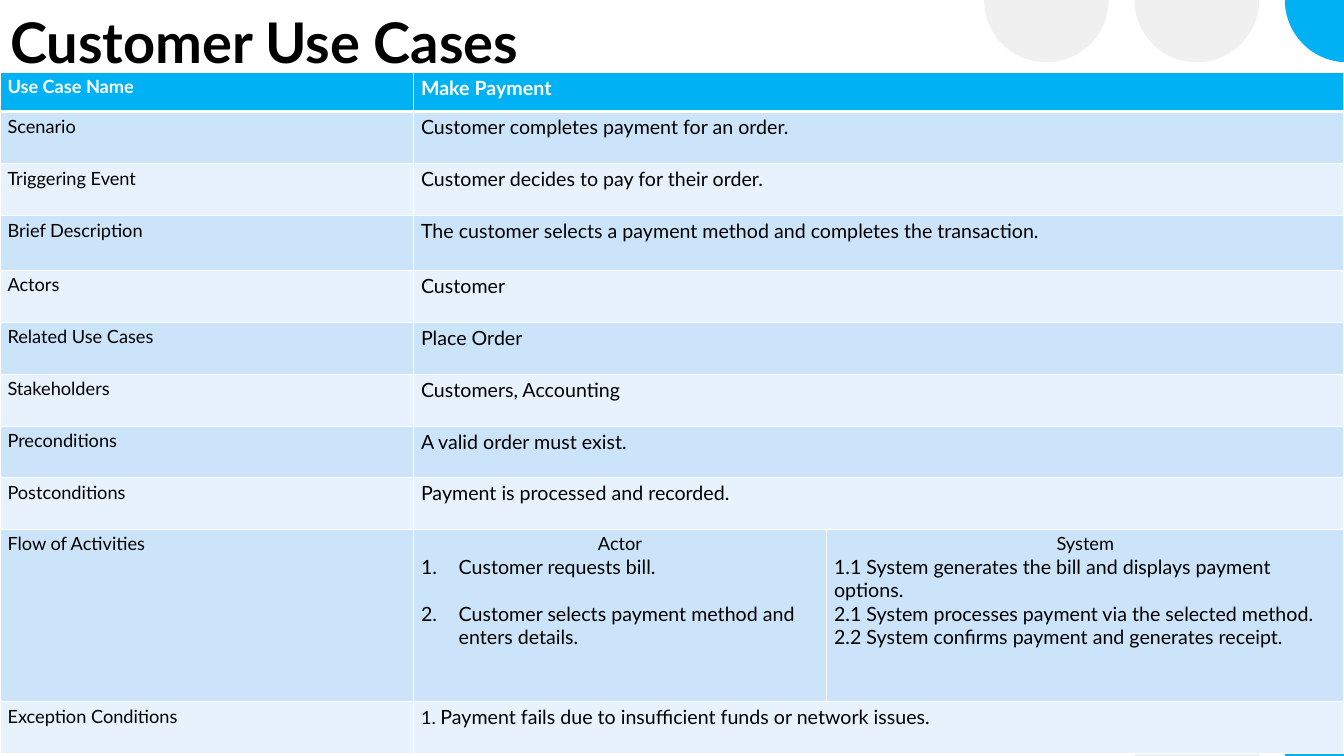
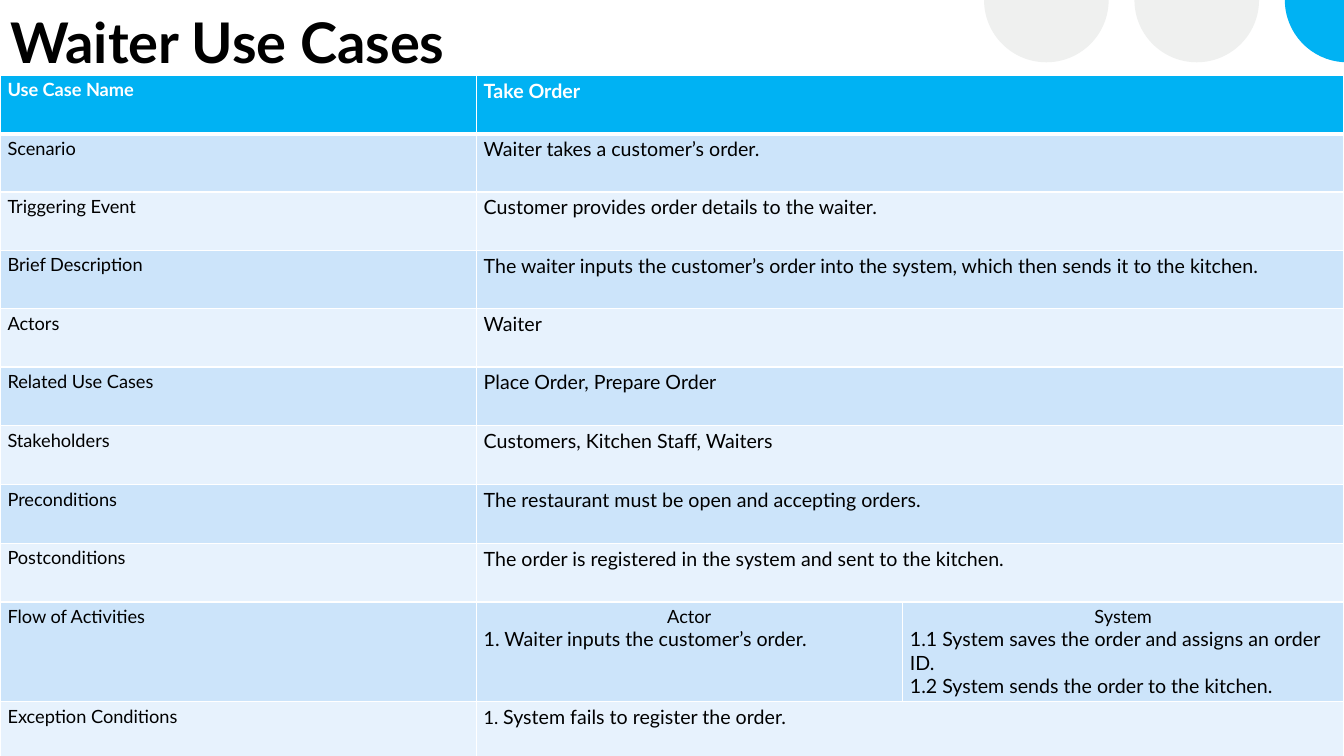
import math

import lxml.etree
import pptx
import pptx.dml.color
import pptx.enum.shapes
import pptx.enum.text
import pptx.oxml.ns
import pptx.util

Cm = pptx.util.Cm
Pt = pptx.util.Pt
RGBColor = pptx.dml.color.RGBColor
Align = pptx.enum.text.PP_ALIGN
qn = pptx.oxml.ns.qn

BLUE = RGBColor(0x00, 0xB2, 0xF3)
GREY = RGBColor(0xEF, 0xF0, 0xEF)
RULE = RGBColor(0xA6, 0xA6, 0xA6)
DARK_BAND = RGBColor(0xCC, 0xE4, 0xFA)
LIGHT_BAND = RGBColor(0xE7, 0xF2, 0xFD)
WHITE = RGBColor(0xFF, 0xFF, 0xFF)
BLACK = RGBColor(0x00, 0x00, 0x00)

FONT = "Lato"
LABEL_SIZE = 13
VALUE_SIZE = 14
WIDTH = 33.87
HEIGHT = 19.05
RADIUS = 1.57
DISC_LEFT = 26.37
DISC_STEP_X = 3.79
DISC_STEP_Y = 3.81
LAST_DISC_ROW = 5
FLOW_ROW = 9

DISCS = [
    (0, 1, GREY), (0, 0, GREY),
    (1, 5, GREY), (1, 3, GREY), (1, 2, GREY), (1, 1, BLUE), (1, 0, GREY),
    (2, 5, BLUE), (2, 4, GREY), (2, 3, BLUE), (2, 2, BLUE), (2, 1, GREY), (2, 0, BLUE),
]

LABELS = [
    "Use Case Name", "Scenario", "Triggering Event", "Brief Description",
    "Actors", "Related Use Cases", "Stakeholders", "Preconditions",
    "Postconditions", "Flow of Activities", "Exception Conditions",
]

USE_CASES = [
    {
        "title": "Customer Use Cases",
        "top": 1.82,
        "columns": [10.42, 10.41, 13.04],
        "rows": [0.99, 1.31, 1.31, 1.38] + [1.31] * 3 + [1.3] * 2 + [4.34, 1.3],
        "values": [
            "Make Payment",
            "Customer completes payment for an order.",
            "Customer decides to pay for their order.",
            "The customer selects a payment method and completes the transaction.",
            "Customer",
            "Place Order",
            "Customers, Accounting",
            "A valid order must exist.",
            "Payment is processed and recorded.",
        ],
        "numbered": True,
        "actor": [
            "Customer requests bill.",
            "Customer selects payment method and enters details.",
        ],
        "system": [
            "1.1 System generates the bill and displays payment options.",
            "2.1 System processes payment via the selected method.",
            "2.2 System confirms payment and generates receipt.",
        ],
        "exception": "Payment fails due to insufficient funds or network issues.",
    },
    {
        "title": "Waiter Use Cases",
        "top": 1.9,
        "columns": [12.0, 10.74, 11.13],
        "rows": [1.47] * 5 + [1.48] * 4 + [2.51, 1.47],
        "values": [
            "Take Order",
            "Waiter takes a customer’s order.",
            "Customer provides order details to the waiter.",
            "The waiter inputs the customer’s order into the system, which then sends it to the kitchen.",
            "Waiter",
            "Place Order, Prepare Order",
            "Customers, Kitchen Staff, Waiters",
            "The restaurant must be open and accepting orders.",
            "The order is registered in the system and sent to the kitchen.",
        ],
        "numbered": False,
        "actor": ["1. Waiter inputs the customer’s order."],
        "system": [
            "1.1 System saves the order and assigns an order ID.",
            "1.2 System sends the order to the kitchen.",
        ],
        "exception": "System fails to register the order.",
    },
]


def write(para, text, size=VALUE_SIZE, color=BLACK, bold=False, align=Align.LEFT):
    para.alignment = align
    span = para.add_run()
    span.text = text
    span.font.name = FONT
    span.font.size = Pt(size)
    span.font.bold = bold
    span.font.color.rgb = color


def format_cell(cell, fill, bottom_width):
    cell.margin_left = cell.margin_right = Cm(0.19)
    cell.margin_top = cell.margin_bottom = Cm(0.09)
    properties = cell._tc.get_or_add_tcPr()
    for side, width in (("lnL", 1), ("lnR", 1), ("lnT", 1), ("lnB", bottom_width)):
        border = lxml.etree.SubElement(properties, qn("a:" + side), w=str(Pt(width)))
        paint = lxml.etree.SubElement(border, qn("a:solidFill"))
        lxml.etree.SubElement(paint, qn("a:srgbClr"), val=str(WHITE))
    cell.fill.solid()
    cell.fill.fore_color.rgb = fill


deck = pptx.Presentation()
deck.slide_width = Cm(WIDTH)
deck.slide_height = Cm(HEIGHT)
layout = deck.slide_layouts[5]
pages = [deck.slides.add_slide(layout) for use_case in USE_CASES]
shapes = pages[0].shapes

for column, row, color in DISCS:
    center_x = DISC_LEFT + column * DISC_STEP_X
    center_y = row * DISC_STEP_Y
    at_edge = row in (0, LAST_DISC_ROW)
    cut_right = column == 2
    if at_edge or cut_right:
        edge_angle = math.acos((WIDTH - center_x) / RADIUS) if cut_right else 0
        start = math.pi if row == LAST_DISC_ROW else edge_angle
        end = math.pi if row == 0 else 2 * math.pi - edge_angle
        arcs = 1 if at_edge and cut_right else 2
        sweep = (end - start) / arcs
        reach = 4 / 3 * math.tan(sweep / 4)
        points = [(math.cos(start), math.sin(start))]
        for arc in range(arcs):
            first = start + arc * sweep
            last = first + sweep
            points += [
                (math.cos(first) - reach * math.sin(first), math.sin(first) + reach * math.cos(first)),
                (math.cos(last) + reach * math.sin(last), math.sin(last) - reach * math.cos(last)),
                (math.cos(last), math.sin(last)),
            ]
        outline = [(Cm(center_x + RADIUS * x), Cm(center_y + RADIUS * y)) for x, y in points]
        if at_edge and cut_right:
            outline.append((Cm(WIDTH), Cm(center_y)))
        builder = shapes.build_freeform(*outline[0])
        builder.add_line_segments(outline[1:], close=True)
        disc = builder.convert_to_shape()
        segments = list(disc.element.iter(qn("a:lnTo")))
        for arc in range(arcs):
            group = segments[3 * arc:3 * arc + 3]
            curve = lxml.etree.Element(qn("a:cubicBezTo"))
            group[0].addprevious(curve)
            for segment in group:
                curve.append(segment[0])
                segment.getparent().remove(segment)
    else:
        disc = shapes.add_shape(
            pptx.enum.shapes.MSO_SHAPE.OVAL,
            Cm(center_x - RADIUS), Cm(center_y - RADIUS), Cm(2 * RADIUS), Cm(2 * RADIUS),
        )
    disc.shadow.inherit = False
    disc.fill.solid()
    disc.fill.fore_color.rgb = color
    disc.line.fill.background()
    layout.shapes.element.append(disc.element)

rule = shapes.add_connector(
    pptx.enum.shapes.MSO_CONNECTOR.STRAIGHT, Cm(1.57), Cm(16.92), Cm(21.95), Cm(16.92)
)
rule.line.color.rgb = RULE
rule.line.width = Pt(1)
lxml.etree.SubElement(rule.element.spPr, qn("a:effectLst"))
layout.shapes.element.append(rule.element)

for page, use_case in zip(pages, USE_CASES):
    title = page.shapes.title
    title.left, title.top, title.width, title.height = Cm(0), Cm(0.05), Cm(20.37), Cm(3.53)
    frame = title.text_frame
    frame.word_wrap = True
    frame.auto_size = pptx.enum.text.MSO_AUTO_SIZE.NONE
    frame.vertical_anchor = pptx.enum.text.MSO_ANCHOR.TOP
    write(frame.paragraphs[0], use_case["title"], size=40, bold=True)

    table = page.shapes.add_table(
        len(LABELS), 3, Cm(0), Cm(use_case["top"]), Cm(WIDTH), Cm(sum(use_case["rows"]))
    ).table
    for column, width in zip(table.columns, use_case["columns"]):
        column.width = Cm(width)

    for index, label in enumerate(LABELS):
        header = index == 0
        fill = BLUE if header else DARK_BAND if index % 2 else LIGHT_BAND
        color = WHITE if header else BLACK
        table.rows[index].height = Cm(use_case["rows"][index])
        cells = [table.cell(index, column) for column in range(3)]
        for cell in cells:
            format_cell(cell, fill, 3 if header else 1)
        write(cells[0].text_frame.paragraphs[0], label, size=LABEL_SIZE, color=color, bold=header)

        if index == FLOW_ROW:
            for cell, heading in zip(cells[1:], ("Actor", "System")):
                frame = cell.text_frame
                write(frame.paragraphs[0], heading, size=LABEL_SIZE, align=Align.CENTER)
                for number, step in enumerate(use_case[heading.lower()]):
                    para = frame.add_paragraph()
                    if heading == "Actor" and use_case["numbered"]:
                        properties = para._p.get_or_add_pPr()
                        properties.set("marL", str(Cm(0.95)))
                        properties.set("indent", str(-Cm(0.95)))
                        lxml.etree.SubElement(properties, qn("a:buAutoNum"), type="arabicPeriod")
                        para.space_before = Pt(17 * number)
                    write(para, step)
            continue

        cells[1].merge(cells[2])
        para = cells[1].text_frame.paragraphs[0]
        if index < FLOW_ROW:
            write(para, use_case["values"][index], color=color, bold=header)
        else:
            write(para, "1. ", size=LABEL_SIZE)
            write(para, use_case["exception"])

deck.save("out.pptx")
